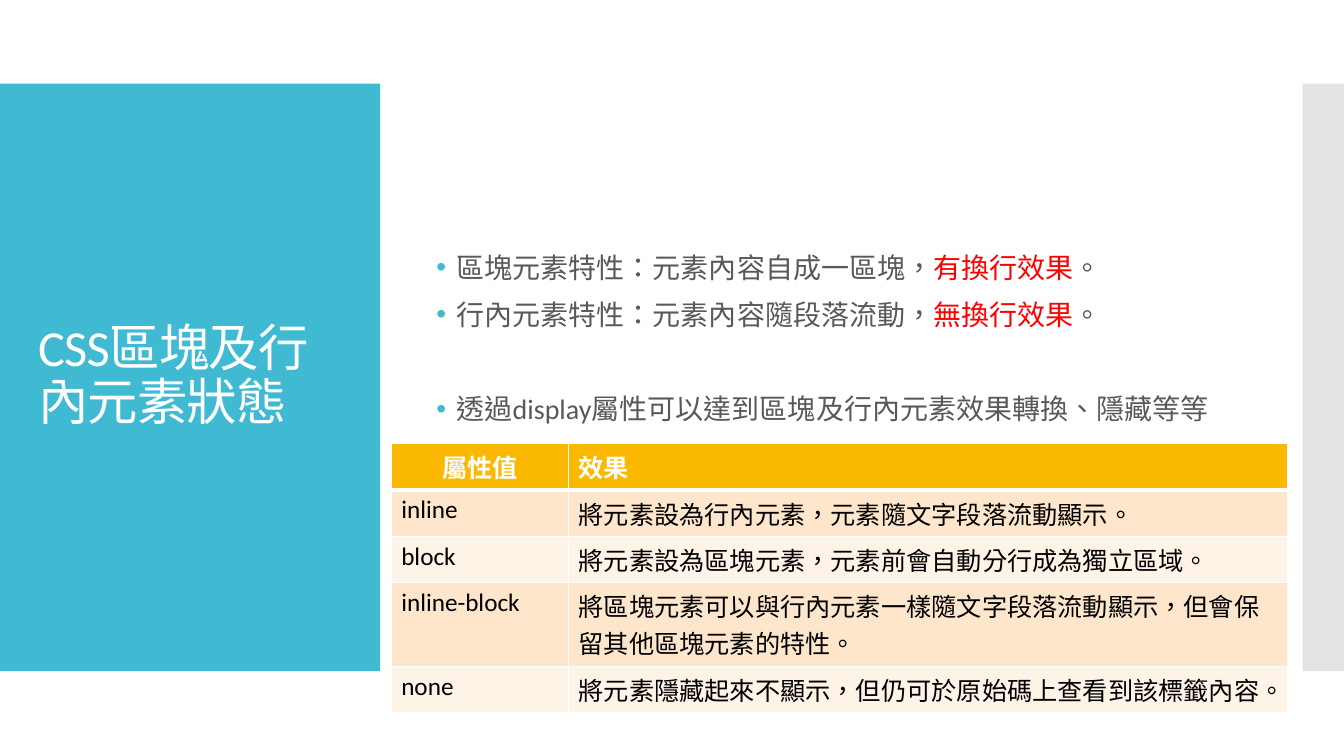
from lxml.etree import SubElement
from pptx import Presentation
from pptx.dml.color import RGBColor
from pptx.enum.shapes import MSO_SHAPE
from pptx.enum.text import MSO_ANCHOR, PP_ALIGN
from pptx.oxml.ns import qn
from pptx.util import Inches, Pt

TEAL = RGBColor(0x40, 0xBA, 0xD2)
GRAY = RGBColor(0xC8, 0xC8, 0xC8)
WHITE = RGBColor(0xFF, 0xFF, 0xFF)
BLACK = RGBColor(0x00, 0x00, 0x00)
BODY = RGBColor(0x59, 0x59, 0x59)
RED = RGBColor(0xFF, 0x00, 0x00)
GOLD = RGBColor(0xFA, 0xB9, 0x00)
PEACH = RGBColor(0xFD, 0xE6, 0xCC)
CREAM = RGBColor(0xFE, 0xF3, 0xE7)


def write(paragraph, text, size=18, color=BLACK, bold=False, spacing=0):
    run = paragraph.add_run()
    run.text = text
    run.font.name = "Calibri"
    run.font.size = Pt(size)
    run.font.bold = bold
    run.font.color.rgb = color
    properties = run._r.get_or_add_rPr()
    properties.set("lang", "zh-TW")
    properties.set("spc", str(spacing))


def add_text_frame(left, top, width, height, anchor):
    box = slide.shapes.add_textbox(Inches(left), Inches(top), Inches(width), Inches(height))
    box.text_frame.word_wrap = True
    box.text_frame.vertical_anchor = anchor
    return box.text_frame


deck = Presentation()
deck.slide_width = Inches(13.33)
deck.slide_height = Inches(7.5)
slide = deck.slides.add_slide(deck.slide_layouts[6])

for left, width, color, opacity in [(0, 3.77, TEAL, 100), (12.92, 0.41, GRAY, 50)]:
    panel = slide.shapes.add_shape(
        MSO_SHAPE.RECTANGLE, Inches(left), Inches(0.83), Inches(width), Inches(5.83))
    panel.shadow.inherit = False
    panel.fill.solid()
    panel.fill.fore_color.rgb = color
    panel.line.fill.background()
    tint = panel._element.spPr.find(qn("a:solidFill"))[0]
    SubElement(tint, qn("a:alpha"), val=str(opacity * 1000))

title = add_text_frame(0.28, 1.23, 3.22, 5.03, MSO_ANCHOR.MIDDLE).paragraphs[0]
title.line_spacing = 0.9
write(title, "CSS區塊及行內元素狀態", size=36, color=WHITE, spacing=-60)

points = [
    (12, [("區塊元素特性：元素內容自成一區塊，", BODY), ("有換行效果", RED), ("。", BODY)]),
    (12, [("行內元素特性：元素內容隨段落流動，", BODY), ("無換行效果", RED), ("。", BODY)]),
    (45.6, [("透過display屬性可以達到區塊及行內元素效果轉換、隱藏等等", BODY)]),
]
points_frame = add_text_frame(4.23, 2.47, 8, 1.9, MSO_ANCHOR.TOP)
for index, (space_before, pieces) in enumerate(points):
    point = points_frame.add_paragraph() if index else points_frame.paragraphs[0]
    point.line_spacing = 0.9
    point.space_before = Pt(space_before)
    layout = point._p.get_or_add_pPr()
    layout.set("marL", str(Inches(0.2)))
    layout.set("indent", str(Inches(-0.2)))
    bullet_color = SubElement(layout, qn("a:buClr"))
    SubElement(bullet_color, qn("a:srgbClr"), val=str(TEAL))
    SubElement(layout, qn("a:buFont"), typeface="Arial")
    SubElement(layout, qn("a:buChar"), char="•")
    for text, color in pieces:
        write(point, text, size=20, color=color)

display_values = [
    ("屬性值", "效果"),
    ("inline", "將元素設為行內元素，元素隨文字段落流動顯示。"),
    ("block", "將元素設為區塊元素，元素前會自動分行成為獨立區域。"),
    ("inline-block", "將區塊元素可以與行內元素一樣隨文字段落流動顯示，但會保留其他區塊元素的特性。"),
    ("none", "將元素隱藏起來不顯示，但仍可於原始碼上查看到該標籤內容。"),
]
row_heights = [0.46, 0.46, 0.46, 0.83, 0.46]
table = slide.shapes.add_table(
    len(display_values), 2, Inches(3.88), Inches(4.4),
    Inches(8.89), Inches(sum(row_heights))).table
for column, width in zip(table.columns, (1.76, 7.13)):
    column.width = Inches(width)
for row, values in enumerate(display_values):
    header = row == 0
    table.rows[row].height = Inches(row_heights[row])
    for column, text in enumerate(values):
        cell = table.cell(row, column)
        edges = {"lnL": 1, "lnR": 1, "lnT": 3 if row == 1 else 1, "lnB": 3 if header else 1}
        for edge, points_wide in edges.items():
            border = SubElement(
                cell._tc.get_or_add_tcPr(), qn(f"a:{edge}"), w=str(Pt(points_wide)))
            SubElement(SubElement(border, qn("a:solidFill")), qn("a:srgbClr"), val=str(WHITE))
        cell.fill.solid()
        cell.fill.fore_color.rgb = GOLD if header else PEACH if row % 2 else CREAM
        entry = cell.text_frame.paragraphs[0]
        entry.alignment = PP_ALIGN.CENTER if header and column == 0 else PP_ALIGN.LEFT
        write(entry, text, color=WHITE if header else BLACK, bold=header)

deck.save("out.pptx")
